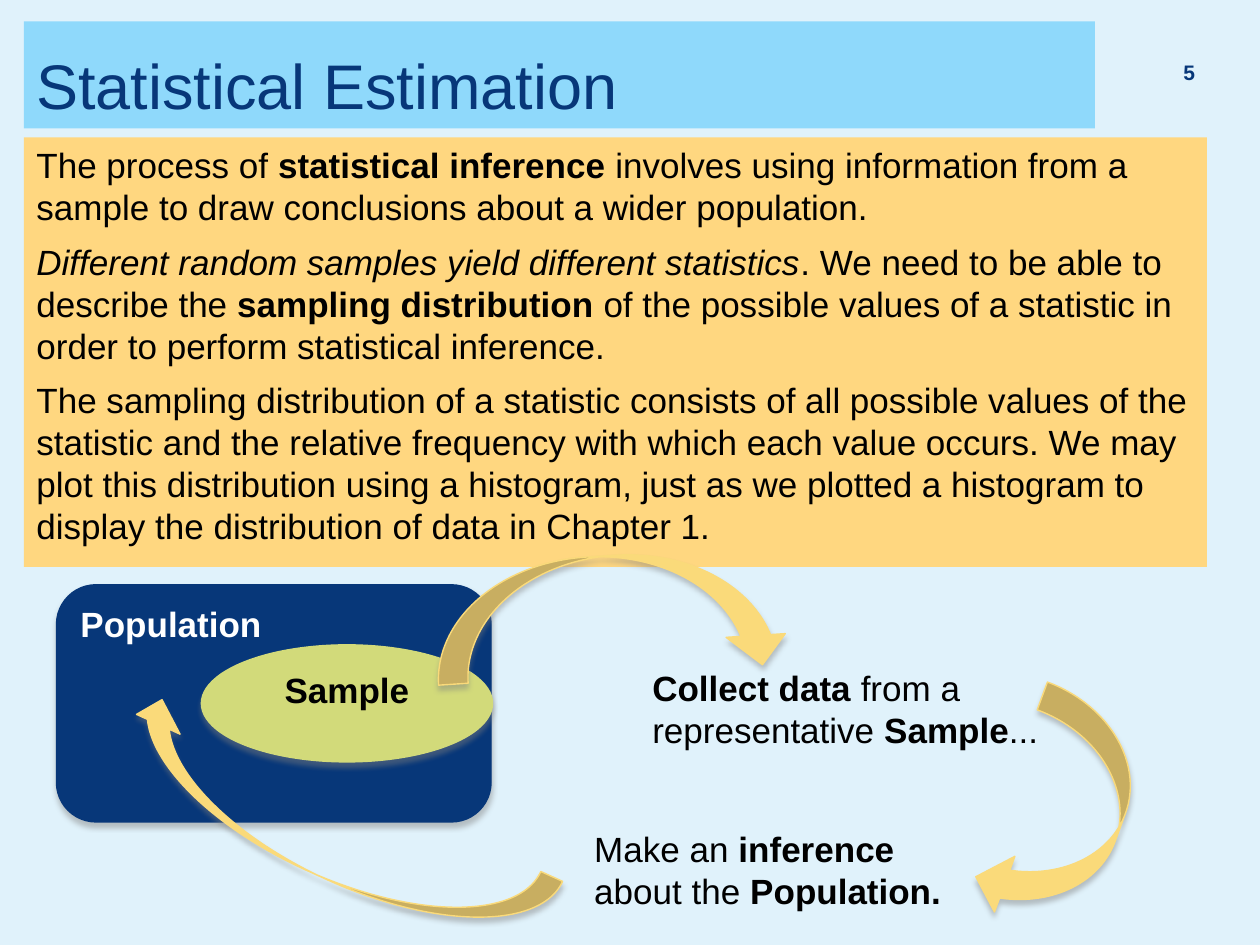
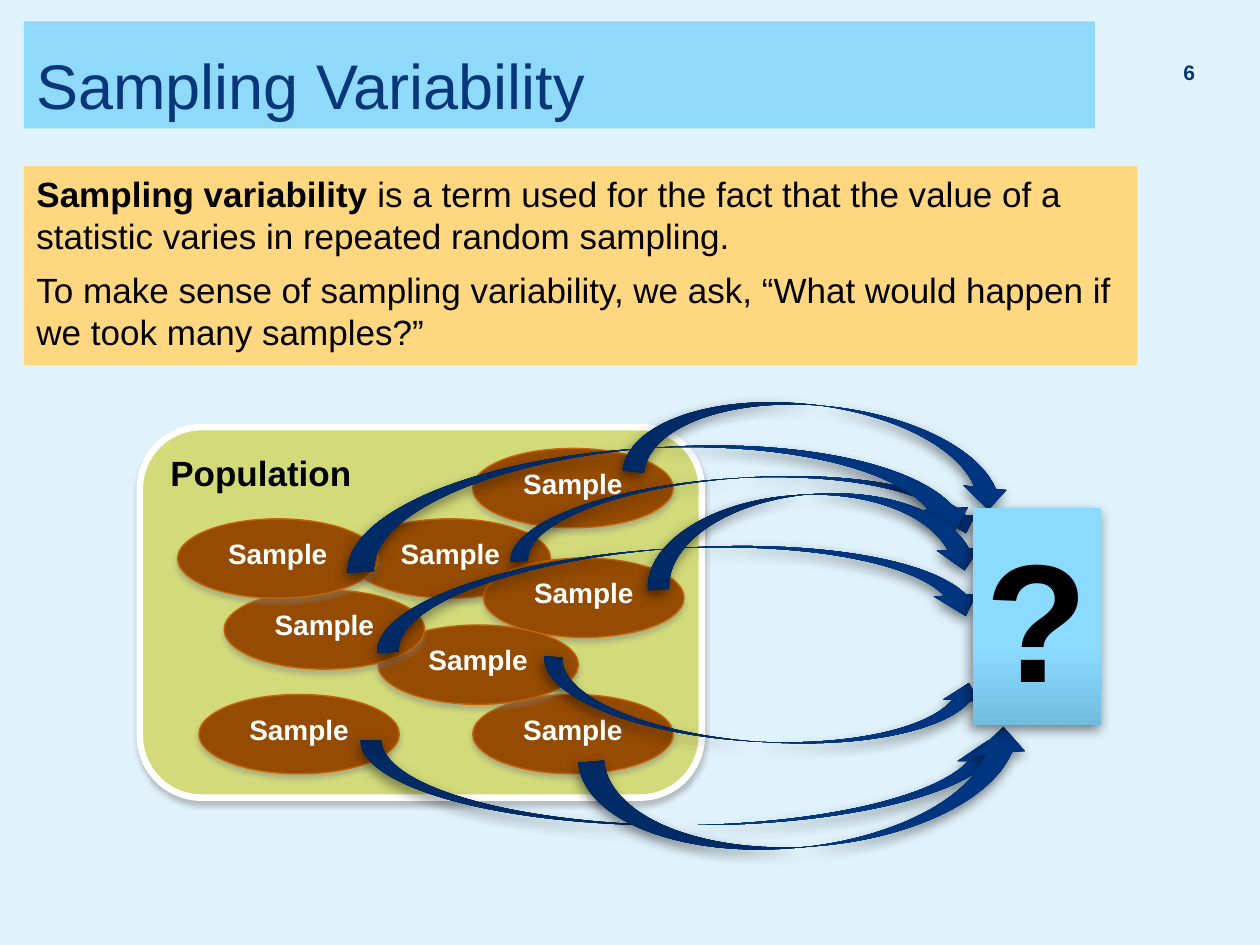
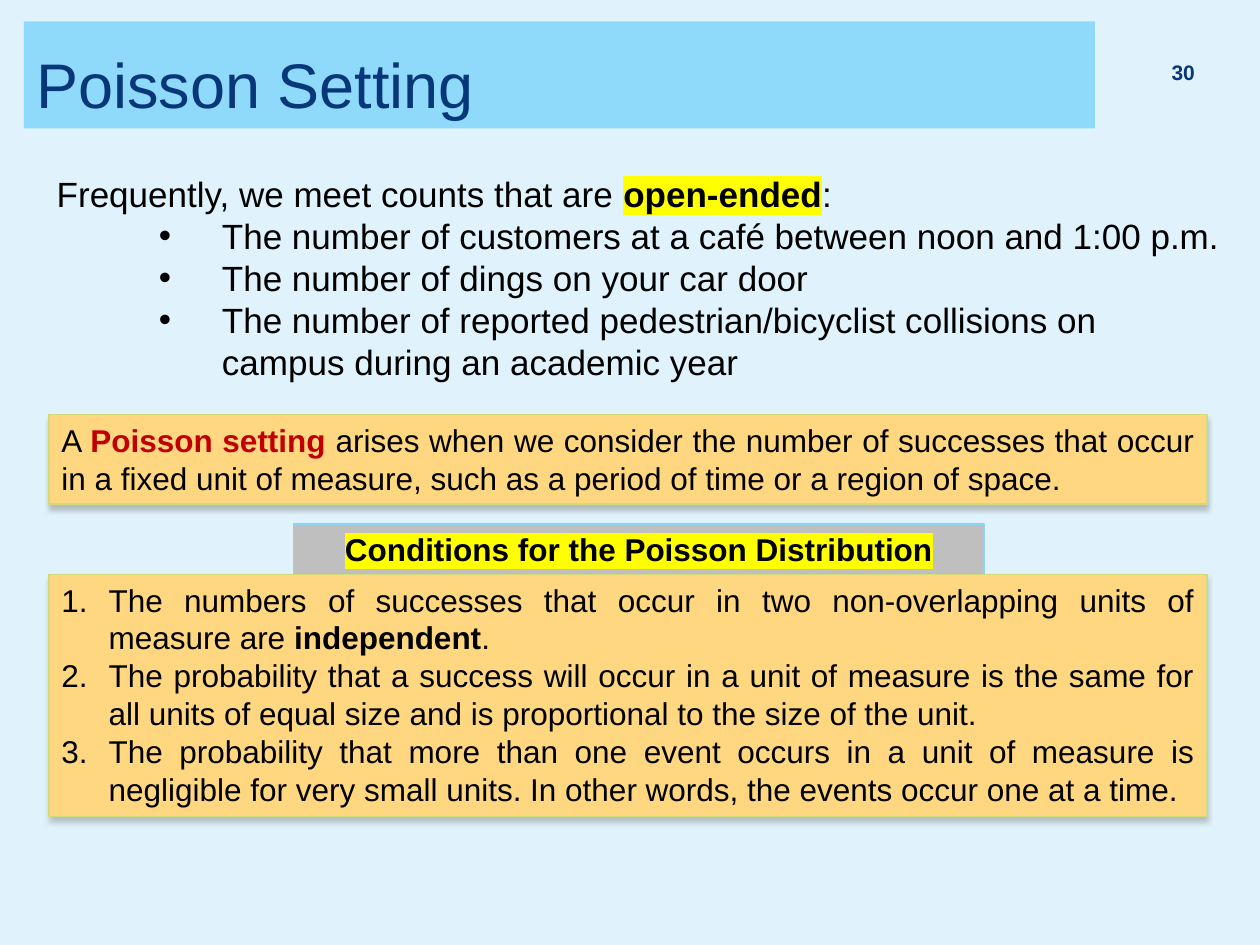
import dataclasses
import typing

import lxml.etree
import pptx
import pptx.dml.color
import pptx.enum.shapes
import pptx.enum.text
import pptx.oxml.ns
import pptx.util

Cm = pptx.util.Cm
Pt = pptx.util.Pt
qn = pptx.oxml.ns.qn
MSO = pptx.enum.shapes.MSO_SHAPE
ALIGN = pptx.enum.text.PP_ALIGN
ANCHOR = pptx.enum.text.MSO_ANCHOR

FONT = "Arial"
PALE, SKY, NAVY = "E0F2FB", "8FD9FB", "073779"
ORANGE, LIME, GOLD = "FFD780", "D2DA7A", "FADA7A"
BROWN, RUST, BLACK, WHITE = "954B01", "C76402", "000000", "FFFFFF"
RED, YELLOW, GREY, EDGE = "C00000", "FFFF00", "BFBFBF", "89D5F8"
INK = ("002E6E", "003680")
GLOSS = ("71BDE0", "8BDAFF")


class Box(typing.NamedTuple):
    left: float
    top: float
    width: float
    height: float

    def lengths(self) -> list:
        return [Cm(v) for v in self]


class Run(typing.NamedTuple):
    text: str
    bold: bool = False
    italic: bool = False
    color: str | None = None
    highlight: str | None = None


@dataclasses.dataclass
class Para:
    runs: list[Run]
    align: typing.Any = ALIGN.LEFT
    before: float = 0
    spacing: float = 1.0
    bullet: str | None = None
    margin: float = 0
    hanging: float = 0
    level: int = 0


class Shadow(typing.NamedTuple):
    color: str
    opacity: int
    blur: float
    distance: float
    angle: int


SOFT = Shadow("808080", 45, 3, 2.4, 90)
DEEP = Shadow("000000", 50, 7, 3, 110)


@dataclasses.dataclass
class Look:
    fill: str | tuple[str, str]
    line: str | None = None
    width: float = 0.79
    shadow: Shadow | None = SOFT


class Arrow(typing.NamedTuple):
    box: Box
    rotation: float = 0
    flip: bool = False


TITLE = Box(0.48, 0.43, 21.59, 2.16)
NUMBER = Box(22.94, 0.99, 1.4, 1.02)
GOLD_ARROW = Look(GOLD, GOLD)
INK_ARROW = Look(INK, shadow=DEEP)
SAMPLE = Look(BROWN, RUST)
PANEL = Look(ORANGE, LIME)


def rgb(value: str) -> pptx.dml.color.RGBColor:
    return pptx.dml.color.RGBColor.from_string(value)


def sub(parent, tag: str, **attrs):
    return lxml.etree.SubElement(parent, qn(tag), {k: str(v) for k, v in attrs.items()})


def bold(text: str, **kw) -> Run:
    return Run(text, bold=True, **kw)


def label(text: str, **kw) -> list[Para]:
    return [Para([bold(text)], **kw)]


def add_run(p, run: Run, size: float, color: str) -> None:
    r = p.add_run()
    r.text = run.text
    values = {"name": FONT, "size": Pt(size), "bold": run.bold, "italic": run.italic}
    for key, value in values.items():
        setattr(r.font, key, value)
    r.font.color.rgb = rgb(run.color or color)
    if run.highlight:
        rPr = r.font._element
        hl = sub(rPr, "a:highlight")
        sub(hl, "a:srgbClr", val=run.highlight)
        rPr.find(qn("a:latin")).addprevious(hl)


def set_bullet(p, para: Para) -> None:
    pPr = p._p.get_or_add_pPr()
    pPr.set("marL", str(Cm(para.margin)))
    pPr.set("indent", str(Cm(-para.hanging)))
    if para.bullet is None:
        sub(pPr, "a:buNone")
    elif para.bullet == "1.":
        sub(pPr, "a:buFont", typeface=FONT)
        sub(pPr, "a:buAutoNum", type="arabicPeriod")
    else:
        sub(pPr, "a:buFont", typeface=FONT)
        sub(pPr, "a:buChar", char=para.bullet)


def put_text(tf, paras: list[Para], size: float, color: str = BLACK,
             anchor=ANCHOR.TOP, wrap: bool = True) -> None:
    values = {"word_wrap": wrap, "vertical_anchor": anchor,
              "auto_size": pptx.enum.text.MSO_AUTO_SIZE.NONE}
    for key, value in values.items():
        setattr(tf, key, value)
    for i, para in enumerate(paras):
        p = tf.add_paragraph() if i else tf.paragraphs[0]
        set_bullet(p, para)
        values = {"alignment": para.align, "level": para.level,
                  "space_before": Pt(para.before if i else 0),
                  "line_spacing": para.spacing}
        for key, value in values.items():
            setattr(p, key, value)
        for run in para.runs:
            add_run(p, run, size, color)


def place(sp, box: Box, fill: str | None = None) -> None:
    for key, value in zip(("left", "top", "width", "height"), box.lengths()):
        setattr(sp, key, value)
    if fill:
        sp.fill.solid()
        sp.fill.fore_color.rgb = rgb(fill)


def set_shadow(sp, shadow: Shadow | None) -> None:
    sp.shadow.inherit = False
    if shadow:
        effects = sp.element.spPr.find(qn("a:effectLst"))
        outer = sub(effects, "a:outerShdw", blurRad=Pt(shadow.blur), dist=Pt(shadow.distance),
                    dir=shadow.angle * 60000, algn="ctr", rotWithShape=0)
        clr = sub(outer, "a:srgbClr", val=shadow.color)
        sub(clr, "a:alpha", val=shadow.opacity * 1000)


def add_shape(s, kind, box: Box, look: Look):
    sp = s.shapes.add_shape(kind, *box.lengths())
    if isinstance(look.fill, tuple):
        sp.fill.gradient()
        sp.fill.gradient_angle = 90
        for stop, color, position in zip(sp.fill.gradient_stops, look.fill, (0, 0.35)):
            stop.color.rgb = rgb(color)
            stop.position = position
    else:
        sp.fill.solid()
        sp.fill.fore_color.rgb = rgb(look.fill)
    if look.line:
        sp.line.color.rgb = rgb(look.line)
        sp.line.width = Pt(look.width)
    else:
        sp.line.fill.background()
    set_shadow(sp, look.shadow)
    return sp


def add_arrow(s, arrow: Arrow, look: Look) -> None:
    sp = add_shape(s, MSO.CURVED_DOWN_ARROW, arrow.box, look)
    sp.rotation = arrow.rotation
    if arrow.flip:
        sp.element.spPr.find(qn("a:xfrm")).set("flipV", "1")


def add_text(s, box: Box, paras: list[Para], size: float, **kw) -> None:
    put_text(s.shapes.add_textbox(*box.lengths()).text_frame, paras, size, **kw)


def add_slide(prs, title: str, number: str, body_box: Box, body: list[Para],
              body_fill: str | None = ORANGE, spacing: float = 1.0):
    s = prs.slides.add_slide(prs.slide_layouts[1])
    place(s.shapes.title, TITLE, SKY)
    put_text(s.shapes.title.text_frame, [Para([Run(title)], spacing=spacing)], 36, NAVY,
             ANCHOR.BOTTOM)
    add_text(s, NUMBER, label(number, align=ALIGN.RIGHT, spacing=0.8), 12,
             color=NAVY, anchor=ANCHOR.MIDDLE)
    sp = s.placeholders[1]
    place(sp, body_box, body_fill)
    put_text(sp.text_frame, body, 20)
    return s


def estimation_slide(prs) -> None:
    s = add_slide(prs, "Statistical Estimation", "5", Box(0.48, 2.77, 23.85, 8.66), [
        Para([Run("The process of "), bold("statistical inference "),
              Run("involves using information from a sample to draw conclusions "
                  "about a wider population.")]),
        Para([Run("Different random samples yield different statistics", italic=True),
              Run(". We need to be able to describe the "), bold("sampling distribution "),
              Run("of the possible values of a statistic in order to perform "
                  "statistical inference.")], before=7),
        Para([Run("The sampling distribution of a statistic consists of all possible values "
                  "of the statistic and the relative frequency with which each value occurs. "
                  "We may plot this distribution using a histogram, just as we plotted a "
                  "histogram to display the distribution of data in Chapter 1.")], before=7),
    ])
    sp = add_shape(s, MSO.ROUNDED_RECTANGLE, Box(1.14, 11.79, 8.76, 4.78), Look(NAVY, NAVY))
    put_text(sp.text_frame, label("Population"), 20, WHITE)
    sp = add_shape(s, MSO.OVAL, Box(4.06, 13, 5.87, 2.36), Look(LIME, LIME))
    put_text(sp.text_frame, label("Sample", align=ALIGN.CENTER), 20)
    add_text(s, Box(12.9, 13.31, 8.59, 1.96), [
        Para([bold("Collect data "), Run("from a representative "), bold("Sample"),
              Run("...")])], 20)
    add_text(s, Box(11.73, 16.56, 8.13, 1.96), [
        Para([Run("Make an "), bold("inference "), Run("about the "),
              bold("Population.")])], 20)
    for arrow in (Arrow(Box(8.76, 11.2, 7.14, 2.39), 356.4),
                  Arrow(Box(19.02, 15.21, 4.78, 2.39), 110.2),
                  Arrow(Box(2.01, 15.75, 9.35, 1.93), 204.4)):
        add_arrow(s, arrow, GOLD_ARROW)


def variability_slide(prs) -> None:
    s = add_slide(prs, "Sampling Variability", "6", Box(0.48, 3.35, 22.45, 4.01), [
        Para([bold("Sampling variability "),
              Run("is a term used for the fact that the value of a statistic varies in "
                  "repeated random sampling.")]),
        Para([Run("To make sense of sampling variability, we ask, “What would happen if "
                  "we took many samples?”")], before=7),
    ])
    sp = add_shape(s, MSO.ROUNDED_RECTANGLE, Box(2.82, 8.61, 11.33, 7.47),
                   Look(LIME, WHITE, 3.75))
    put_text(sp.text_frame, label("Population"), 20)
    for left, top in ((7.06, 10.46), (9.75, 11.25), (9.53, 14), (9.53, 9.04),
                      (7.62, 12.6), (4.52, 11.89), (4.01, 14), (3.58, 10.46)):
        sp = add_shape(s, MSO.OVAL, Box(left, top, 4.04, 1.6), SAMPLE)
        put_text(sp.text_frame, label("Sample", align=ALIGN.CENTER), 16, WHITE)
    for arrow in (Arrow(Box(12.62, 8.18, 7.85, 1.73), 6.1),
                  Arrow(Box(10.24, 9.63, 9.55, 1.4), 356.4),
                  Arrow(Box(10.92, 13.51, 8.94, 1.45), 3.6, True),
                  Arrow(Box(7.54, 11.05, 12.32, 1.73), 356.4),
                  Arrow(Box(6.93, 9.02, 12.75, 2.13), 356.4),
                  Arrow(Box(7.26, 14.91, 13.11, 1.73), 0, True),
                  Arrow(Box(11.73, 14.99, 9.12, 2.08), 355.2, True),
                  Arrow(Box(13, 9.96, 6.83, 1.73), 356.4)):
        add_arrow(s, arrow, INK_ARROW)
    sp = add_shape(s, MSO.RECTANGLE, Box(19.61, 10.24, 2.59, 4.37), Look(GLOSS, shadow=DEEP))
    put_text(sp.text_frame, label("?", align=ALIGN.CENTER), 96, wrap=False)


def poisson_slide(prs) -> None:
    counts = ("The number of customers at a café between noon and 1:00 p.m.",
              "The number of dings on your car door",
              "The number of reported pedestrian/bicyclist collisions on campus during "
              "an academic year")
    conditions = (
        [Run("The numbers of successes that occur in two non-overlapping units of measure are "),
         bold("independent"), Run(".")],
        [Run("The probability that a success will occur in a unit of measure is the same for "
             "all units of equal size and is proportional to the size of the unit.")],
        [Run("The probability that more than one event occurs in a unit of measure is "
             "negligible for very small units. In other words, the events occur one at a time.")],
    )
    intro = Para([Run("Frequently, we meet counts that are "),
                  bold("open-ended", highlight=YELLOW), Run(":")])
    s = add_slide(prs, "Poisson Setting", "30", Box(0.89, 3.35, 24, 4.39),
                  [intro] + [Para([Run(text)], bullet="•", margin=3.33, hanging=1.27, level=1)
                             for text in counts], None, 0.9)
    sp = add_shape(s, MSO.RECTANGLE, Box(0.99, 8.36, 23.34, 1.8), PANEL)
    put_text(sp.text_frame, [
        Para([Run("A "), bold("Poisson setting ", color=RED),
              Run("arises when we consider the number of successes that occur in a fixed unit "
                  "of measure, such as a period of time or a region of space.")],
             align=ALIGN.JUSTIFY)], 18)
    sp = add_shape(s, MSO.RECTANGLE, Box(5.92, 10.57, 13.92, 1.02), Look(GREY, EDGE, 1, None))
    put_text(sp.text_frame, [
        Para([bold("Conditions for the Poisson Distribution", highlight=YELLOW)],
             align=ALIGN.CENTER)], 18)
    sp = add_shape(s, MSO.RECTANGLE, Box(0.99, 11.58, 23.34, 4.88), PANEL)
    put_text(sp.text_frame, [
        Para(runs, align=ALIGN.JUSTIFY, bullet="1.", margin=0.95, hanging=0.95)
        for runs in conditions], 18)


def main() -> None:
    prs = pptx.Presentation()
    prs.slide_width, prs.slide_height = Cm(25.4), Cm(19.05)
    fill = prs.slide_master.background.fill
    fill.solid()
    fill.fore_color.rgb = rgb(PALE)
    for build in (estimation_slide, variability_slide, poisson_slide):
        build(prs)
    prs.save("out.pptx")


if __name__ == "__main__":
    main()
